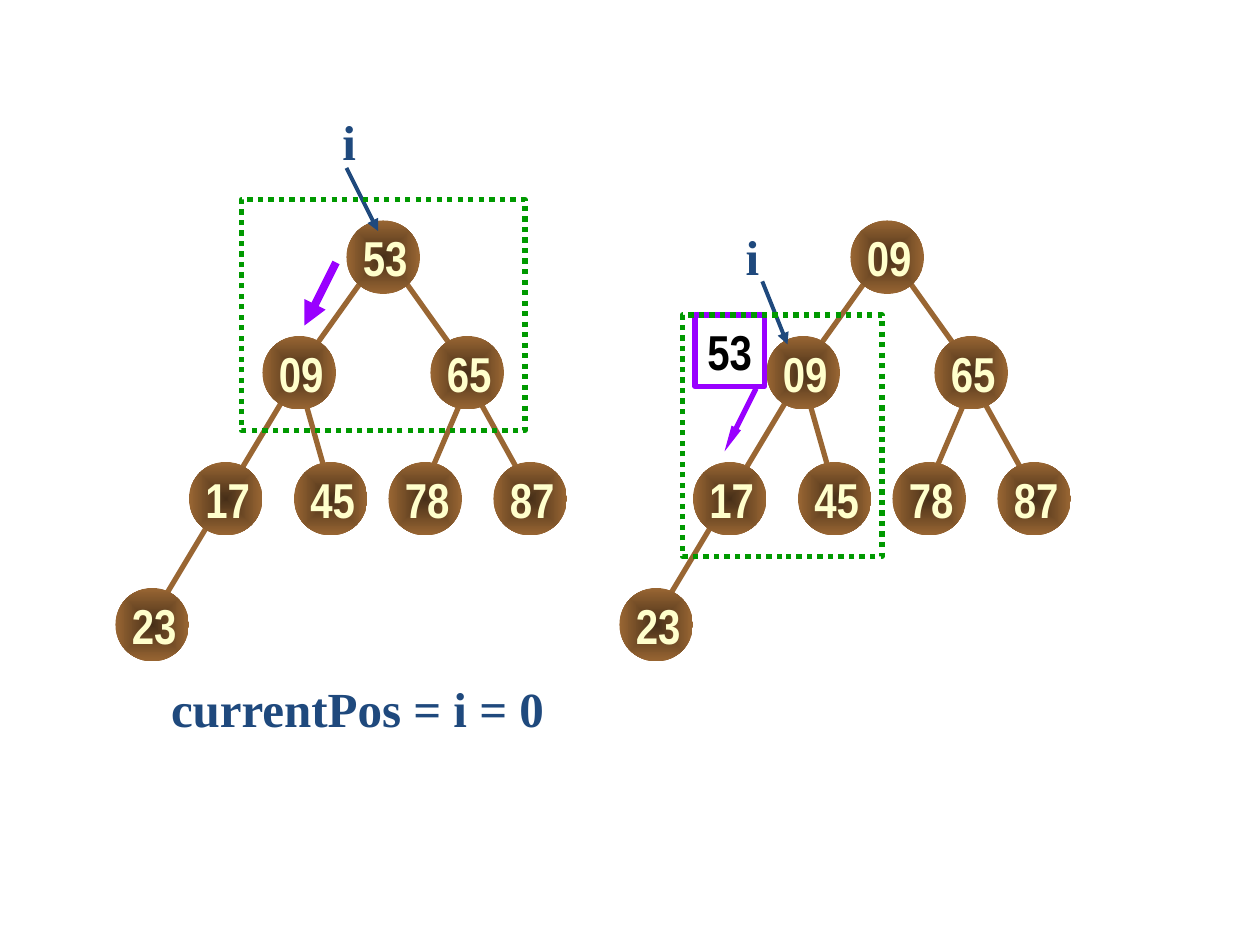
from lxml.etree import SubElement
from pptx import Presentation
from pptx.dml.color import RGBColor
from pptx.enum.dml import MSO_LINE
from pptx.enum.shapes import MSO_CONNECTOR, MSO_SHAPE
from pptx.enum.text import MSO_ANCHOR, PP_ALIGN
from pptx.oxml.ns import qn
from pptx.util import Inches, Pt

BROWN = RGBColor(0x99, 0x66, 0x33)
DARK = RGBColor(0x47, 0x2F, 0x18)
CREAM = RGBColor(0xFF, 0xFF, 0xCC)
NAVY = RGBColor(0x1F, 0x49, 0x7D)
GREEN = RGBColor(0x00, 0x99, 0x00)
PURPLE = RGBColor(0x99, 0x00, 0xFF)
WHITE = RGBColor(0xFF, 0xFF, 0xFF)
BLACK = RGBColor(0x00, 0x00, 0x00)
SANS, SERIF = "Arial Narrow", "Times New Roman"

# Grid: twelve cells to the inch; a tree's origin is its top left corner
CELL = Inches(1) / 12
NODE = 7
TEXT = 6.8
SPOTS = [(22, 0), (14, 11), (30, 11), (7, 23), (17, 23), (26, 23), (36, 23), (0, 35)]
EDGES = [
    (34, 16, 39, 25), (33, 17, 30, 24), (27, 5, 32, 12),
    (18, 17, 20, 24), (24, 5, 19, 12), (16, 17, 4, 37),
]


def place(org, *nums):
    """Turn cells from the origin into lengths, x and y in turn."""
    return [round((n + org[i % 2]) * CELL) for i, n in enumerate(nums)]


def area(org, x, y, wide, high):
    return place(org, x, y) + place((0, 0), wide, high)


def write(shape, text, font, color):
    frame = shape.text_frame
    frame.word_wrap = False
    frame.vertical_anchor = MSO_ANCHOR.MIDDLE
    para = frame.paragraphs[0]
    para.text = text
    para.alignment = PP_ALIGN.CENTER
    para.font.name, para.font.size, para.font.bold = font, Pt(28), True
    para.font.color.rgb = color


def label(slide, org, box, text):
    write(slide.shapes.add_textbox(*area(org, *box)), text, SERIF, NAVY)


def link(slide, org, ends, color, width, head=None):
    line = slide.shapes.add_connector(MSO_CONNECTOR.STRAIGHT, *place(org, *ends))
    line.line.color.rgb = color
    line.line.width = Pt(width)
    if head:
        tail = SubElement(line.line._get_or_add_ln(), qn("a:tailEnd"), type="triangle")
        tail.set("w", head[0])
        tail.set("len", head[1])
    SubElement(line._element.spPr, qn("a:effectLst"))


def shade(fill):
    """Dark centre that lightens towards the edges."""
    fill.gradient()
    for stop, color in zip(fill.gradient_stops, (DARK, BROWN)):
        stop.color.rgb = color
    grad = fill._xPr.find(qn("a:gradFill"))
    grad.remove(grad.find(qn("a:lin")))
    way = SubElement(grad, qn("a:path"), path="rect")
    SubElement(way, qn("a:fillToRect"), {side: "50000" for side in "ltrb"})


def tree(slide, org, keys):
    for ends in EDGES:
        link(slide, org, ends, BROWN, 3)
    for spot, key in zip(SPOTS, keys):
        node = slide.shapes.add_shape(MSO_SHAPE.OVAL, *area(org, *spot, NODE, NODE))
        node.shadow.inherit = False
        shade(node.fill)
        node.line.fill.background()
        write(node, key, SANS, CREAM)
        node.text_frame.margin_left, node.text_frame.margin_right = Inches(0.03), 0


def frame(slide, org, box):
    rect = slide.shapes.add_shape(MSO_SHAPE.RECTANGLE, *area(org, *box))
    rect.shadow.inherit = False
    rect.fill.background()
    rect.line.color.rgb = GREEN
    rect.line.width = Pt(3)
    rect.line.dash_style = MSO_LINE.ROUND_DOT


def start(slide, org):
    """Heap before the swap, with the root as the current item."""
    tree(slide, org, ["53", "09", "65", "17", "45", "78", "87", "23"])
    label(slide, org, (20.4, -11, 3.7, TEXT), "i")
    link(slide, org, (22, -5, 25, 1), NAVY, 2.25, ("med", "med"))
    frame(slide, org, (12, -2, 27, 22))
    label(slide, org, (4.1, 43, 37.9, TEXT), "currentPos = i = 0")
    link(slide, org, (21, 4, 18, 10), PURPLE, 4.5, ("med", "med"))


def sift(slide, org):
    """Heap after the child moved up, with the held value beside it."""
    tree(slide, org, ["09", "09", "65", "17", "45", "78", "87", "23"])
    held = slide.shapes.add_shape(MSO_SHAPE.RECTANGLE, *area(org, 7.2, 9, 6.6, TEXT))
    held.shadow.inherit = False
    held.fill.solid()
    held.fill.fore_color.rgb = WHITE
    held.line.color.rgb = PURPLE
    held.line.width = Pt(3)
    write(held, "53", SANS, BLACK)
    link(slide, org, (13.6, 5.8, 16, 11.8), NAVY, 2.25, ("med", "med"))
    label(slide, org, (10.8, 0, 3.7, TEXT), "i")
    frame(slide, org, (6, 9, 19, 23))
    link(slide, org, (13, 16, 10, 22), PURPLE, 3, ("sm", "lg"))


def main():
    deck = Presentation()
    deck.slide_width, deck.slide_height = Inches(10), Inches(7.5)
    slide = deck.slides.add_slide(deck.slide_layouts[6])
    start(slide, (11, 21))
    sift(slide, (59, 21))
    deck.save("out.pptx")


if __name__ == "__main__":
    main()
